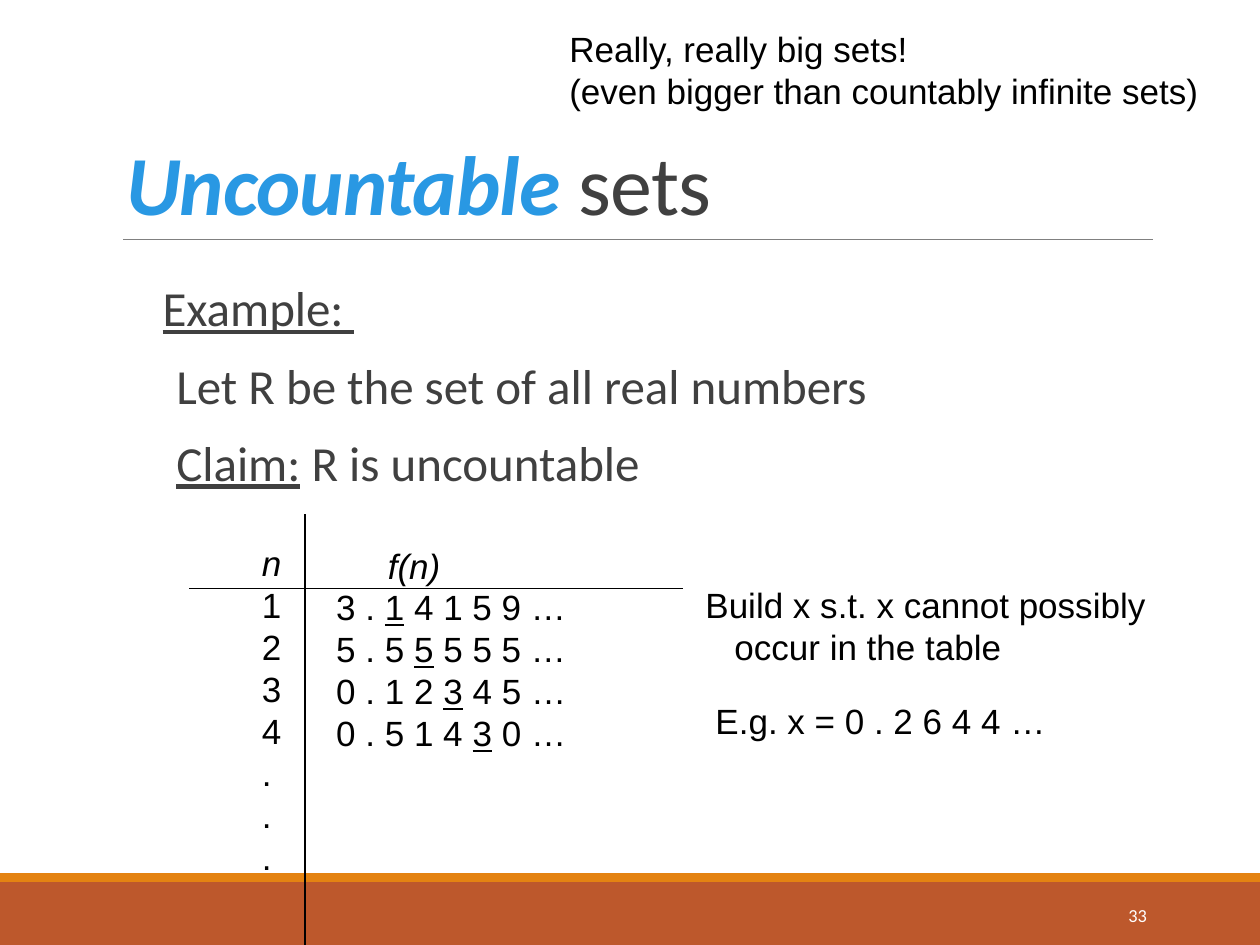
"""Build the slide on uncountable sets with its table of real numbers."""
from pptx import Presentation
from pptx.dml.color import RGBColor
from pptx.enum.shapes import MSO_CONNECTOR, MSO_SHAPE
from pptx.enum.text import MSO_ANCHOR, MSO_AUTO_SIZE, PP_ALIGN
from pptx.util import Pt
from lxml.etree import SubElement

PX = 9144
BLACK = RGBColor(0x00, 0x00, 0x00)
WHITE = RGBColor(0xFF, 0xFF, 0xFF)
GREY = RGBColor(0x80, 0x80, 0x80)
CHARCOAL = RGBColor(0x40, 0x40, 0x40)
BLUE = RGBColor(0x29, 0x98, 0xE3)
RUST = RGBColor(0xBD, 0x58, 0x2C)
ORANGE = RGBColor(0xE4, 0x83, 0x12)

PLAIN = {}
ITALIC = {"italic": True}
UNDERLINED = {"underline": True}
ARIAL = {"name": "Arial", "size": Pt(20), "color": BLACK}
TITLE = {"name": "Calibri", "size": Pt(48), "color": CHARCOAL}
BODY = {"name": "Calibri", "size": Pt(28), "color": CHARCOAL}
NUMBER = {"name": "Calibri", "size": Pt(10.5), "color": WHITE}


def write(frame, paragraphs, style, spacing=PLAIN, indents=()):
    for index, pieces in enumerate(paragraphs):
        paragraph = frame.paragraphs[0] if index == 0 else frame.add_paragraph()
        for key, value in spacing.items():
            setattr(paragraph, key, value)
        if index == 0:
            paragraph.space_before = Pt(0)
        if indents:
            properties = paragraph._p.get_or_add_pPr()
            properties.set("marL", str(indents[index] * PX))
            properties.set("indent", "0")
        for text, extra in pieces:
            run = paragraph.add_run()
            run.text = text
            for key, value in {**style, **extra}.items():
                if key == "color":
                    run.font.color.rgb = value
                else:
                    setattr(run.font, key, value)


prs = Presentation()
prs.slide_width, prs.slide_height = 1000 * PX, 750 * PX
slide = prs.slides.add_slide(prs.slide_layouts[5])

for top, height, color in [(700, 50, RUST), (693, 7, ORANGE)]:
    band = slide.shapes.add_shape(MSO_SHAPE.RECTANGLE, 0, top * PX, 1000 * PX, height * PX)
    band.shadow.inherit = False
    band.fill.solid()
    band.fill.fore_color.rgb = color
    band.line.fill.background()

title = slide.shapes.title
title.left, title.top, title.width, title.height = [n * PX for n in (90, 31, 825, 159)]
heading = title.text_frame
heading.vertical_anchor = MSO_ANCHOR.BOTTOM
heading.auto_size = MSO_AUTO_SIZE.NONE
heading.word_wrap = True
write(heading, [[("Uncountable", {"bold": True, "italic": True, "color": BLUE}), (" sets", PLAIN)]],
      TITLE, {"alignment": PP_ALIGN.LEFT, "line_spacing": 0.85})
for run in heading.paragraphs[0].runs:
    run._r.get_or_add_rPr().set("spc", "-50")

claim = slide.shapes.add_textbox(129 * PX, 221 * PX, 850 * PX, 213 * PX).text_frame
claim.word_wrap = True
claim.margin_left = claim.margin_right = 0
write(claim, [
    [("Example: ", UNDERLINED)],
    [("Let R be the set of all real numbers", PLAIN)],
    [("Claim:", UNDERLINED), (" R is uncountable", PLAIN)],
], BODY, {"line_spacing": 0.9, "space_before": Pt(12), "space_after": Pt(2)}, (0, 11, 11))

page = slide.shapes.add_textbox(812 * PX, 706 * PX, 108 * PX, 40 * PX).text_frame
page.word_wrap = True
page.vertical_anchor = MSO_ANCHOR.MIDDLE
write(page, [[("33", PLAIN)]], NUMBER, {"alignment": PP_ALIGN.RIGHT})

counter = [[("n", ITALIC)]] + [[(mark, PLAIN)] for mark in "1234..."]
expansions = [
    [(before, PLAIN), (digit, UNDERLINED), (after, PLAIN)]
    for before, digit, after in [
        ("3 . ", "1", " 4 1 5 9 …"),
        ("5 . 5 ", "5", " 5 5 5 …"),
        ("0 . 1 2 ", "3", " 4 5 …"),
        ("0 . 5 1 4 ", "3", " 0 …"),
    ]
]
diagonal = [[("Build x s.t. x cannot possibly", PLAIN)], [("occur in the table", PLAIN)]]
remark = [
    [("Really, really big sets!", PLAIN)],
    [("(even bigger than countably infinite sets)", PLAIN)],
]
for left, top, width, height, paragraphs, indents in [
    (198, 425, 36, 277, counter, ()),
    (298, 427, 62, 43, [[("f(n)", ITALIC)]], ()),
    (257, 460, 204, 143, expansions, ()),
    (558, 550, 282, 43, [[("E.g. x = 0 . 2 6 4 4 …", PLAIN)]], ()),
    (542, 458, 388, 77, diagonal, (8, 31)),
    (442, 17, 523, 77, remark, ()),
]:
    note = slide.shapes.add_textbox(left * PX, top * PX, width * PX, height * PX).text_frame
    note.word_wrap = False
    note.auto_size = MSO_AUTO_SIZE.SHAPE_TO_FIT_TEXT
    write(note, paragraphs, ARIAL, indents=indents)

for x1, y1, x2, y2, color, weight in [
    (98, 190, 915, 190, GREY, 0.5),
    (150, 467, 542, 467, BLACK, 0.75),
    (242, 408, 242, 750, BLACK, 0.75),
]:
    rule = slide.shapes.add_connector(MSO_CONNECTOR.STRAIGHT, x1 * PX, y1 * PX, x2 * PX, y2 * PX)
    rule.line.color.rgb = color
    rule.line.width = Pt(weight)
    SubElement(rule._element.spPr, "{http://schemas.openxmlformats.org/drawingml/2006/main}effectLst")

prs.save("out.pptx")
